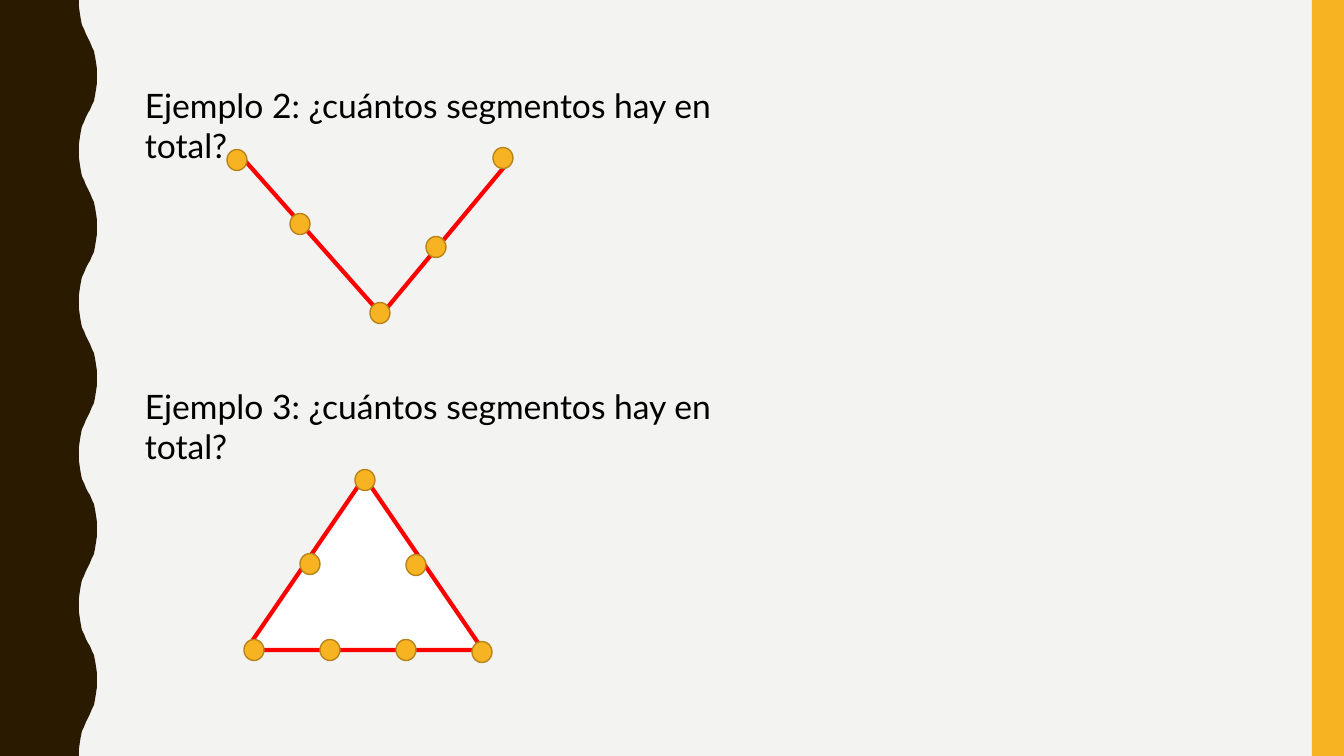
import pptx
import pptx.util
import pptx.dml.color
import pptx.enum.shapes
import pptx.oxml

SCALE = 914400 / 100.8
WIDE, HIGH = 1344, 756
KINDS = pptx.enum.shapes.MSO_SHAPE
COLORS = {
    "back": "F3F3F2",
    "wave": "2A1A00",
    "gold": "F8B323",
    "rim": "B7841A",
    "red": "FF0000",
    "white": "FFFFFF",
    "text": "000000",
}
# First quarter of one wave: (x, y)
CURVE = [(79, 0), (79, 7), (80, 14), (81, 20), (82, 25), (84, 29), (86, 34), (88, 38)]
WAVES = 5

ANGLE_DOTS = [(237, 160), (300, 224), (380, 313), (436, 247), (503, 158)]
TRI_DOTS = [(254, 650), (365, 480), (482, 652), (310, 564),
            (330, 650), (416, 565), (406, 650)]


def emu(px):
    """Turn pixels into EMU."""
    return pptx.util.Emu(round(px * SCALE))


def color(name):
    """Look up a colour by its name."""
    return pptx.dml.color.RGBColor.from_string(COLORS[name])


def paint(shape, fill, line=None, width=1):
    """Set fill and outline, and drop the shadow."""
    shape.shadow.inherit = False
    shape.fill.solid()
    shape.fill.fore_color.rgb = color(fill)
    if line:
        shape.line.color.rgb = color(line)
        shape.line.width = pptx.util.Pt(width)
    else:
        shape.line.fill.background()


def add_form(slide, kind, box, fill, line=None, width=1):
    """Add a painted preset shape."""
    shape = slide.shapes.add_shape(kind, *map(emu, box))
    paint(shape, fill, line, width)


def add_wave(slide):
    """Add the wavy band on the left edge."""
    step = HIGH / WAVES
    rise = CURVE + [(176 - x, step / 2 - y) for x, y in reversed(CURVE[:-1])]
    swell = rise + [(x, step - y) for x, y in reversed(rise[:-1])]
    edge = [(x, y + i * step) for i in range(WAVES) for x, y in swell]
    pen = slide.shapes.build_freeform(0, 0, scale=SCALE)
    pen.add_line_segments(edge + [(0, HIGH)], close=True)
    paint(pen.convert_to_shape(), "wave")


def add_text(slide, top, words):
    """Add a question in a wrapping text box."""
    box = slide.shapes.add_textbox(emu(135), emu(top), emu(624), emu(50))
    frame = box.text_frame
    frame.word_wrap = True
    frame.text = words
    font = frame.paragraphs[0].runs[0].font
    font.name = "Lato"
    font.size = pptx.util.Pt(24)
    font.color.rgb = color("text")


def add_line(slide, start, end):
    """Add a red segment."""
    line = slide.shapes.add_connector(
        pptx.enum.shapes.MSO_CONNECTOR.STRAIGHT, *map(emu, start + end))
    line.line.color.rgb = color("red")
    line.line.width = pptx.util.Pt(3)
    props = line._element.spPr
    props.append(pptx.oxml.parse_xml(
        '<a:effectLst xmlns:a="http://schemas.openxmlformats.org/drawingml/2006/main"/>'))


def add_dots(slide, spots):
    """Add a gold point centred on each spot."""
    for x, y in spots:
        add_form(slide, KINDS.OVAL, (x - 10, y - 10.5, 20, 21), "gold", "rim")


def main():
    """Build and save the slide."""
    deck = pptx.Presentation()
    deck.slide_width, deck.slide_height = emu(WIDE), emu(HIGH)
    slide = deck.slides.add_slide(deck.slide_layouts[6])
    slide.background.fill.solid()
    slide.background.fill.fore_color.rgb = color("back")

    add_wave(slide)
    add_form(slide, KINDS.RECTANGLE, (1312, 0, 32, HIGH), "gold")

    add_text(slide, 80, "Ejemplo 2: ¿cuántos segmentos hay en total?")
    add_line(slide, (240, 155), (379, 312))
    add_line(slide, (382, 314), (510, 160))
    add_dots(slide, ANGLE_DOTS)

    add_text(slide, 381, "Ejemplo 3: ¿cuántos segmentos hay en total?")
    add_form(slide, KINDS.ISOSCELES_TRIANGLE, (246, 477, 237, 173), "white", "red", 3)
    add_dots(slide, TRI_DOTS)

    deck.save("out.pptx")


main()
